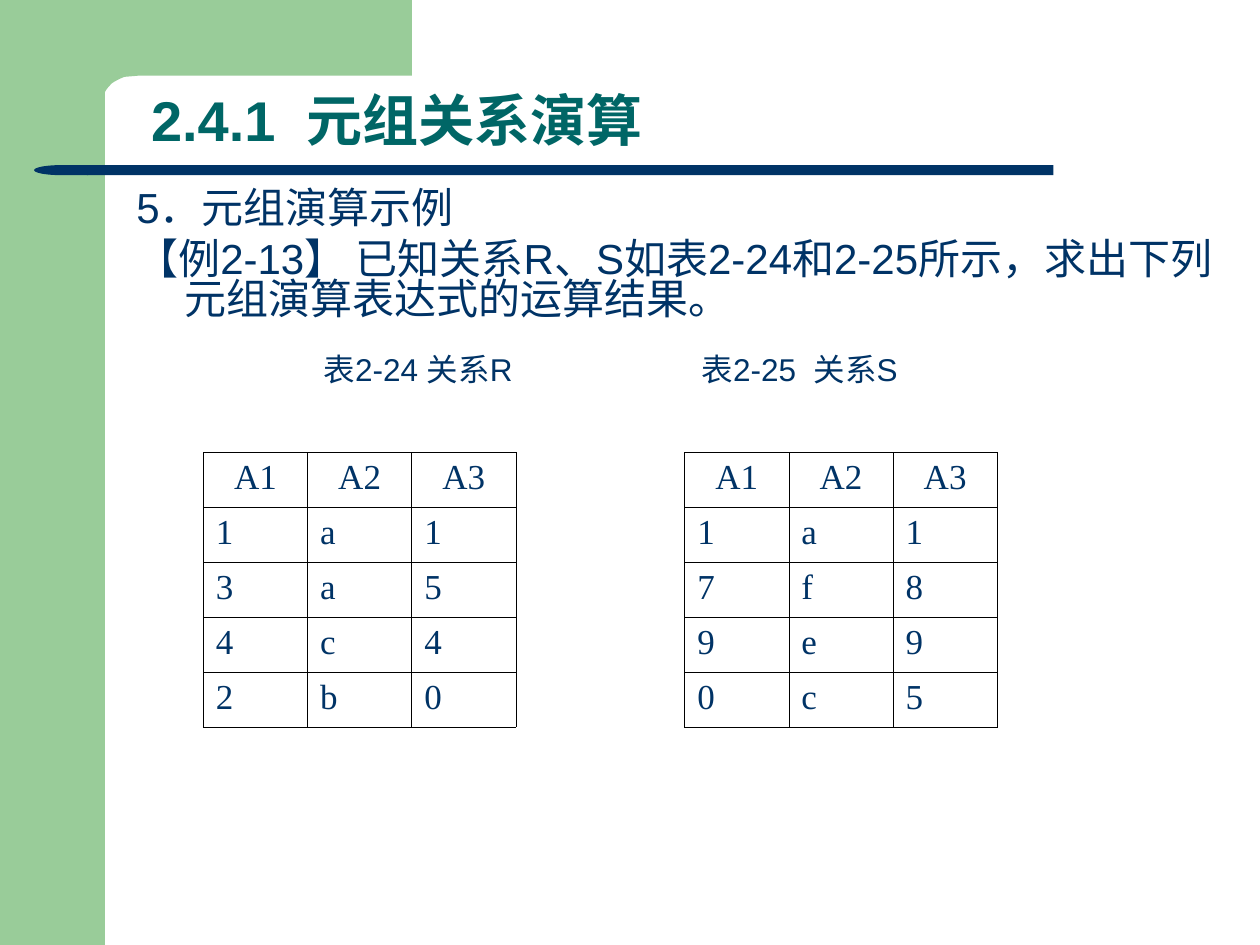
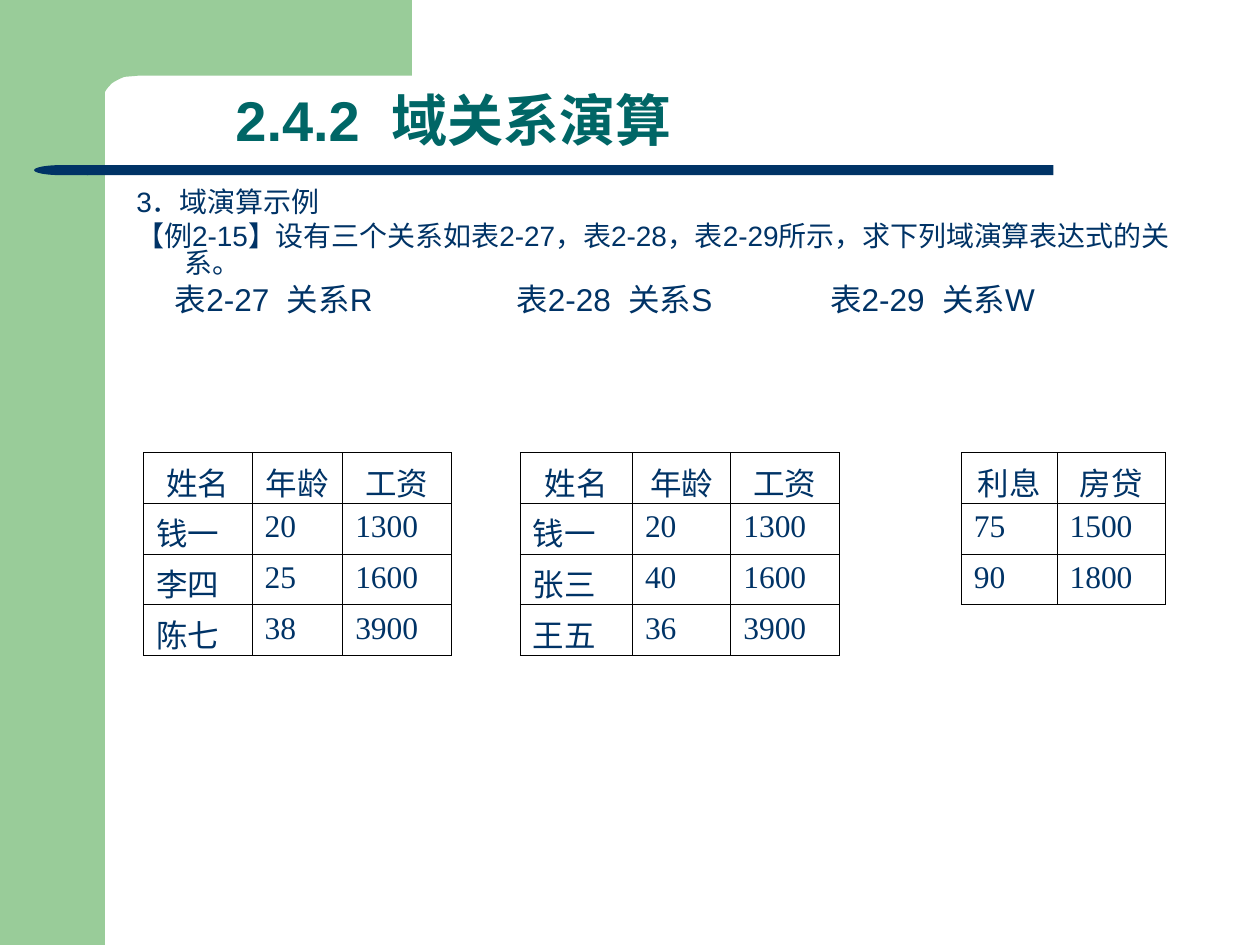
from lxml import etree
from pptx import Presentation
from pptx.dml.color import RGBColor
from pptx.enum.shapes import MSO_SHAPE
from pptx.enum.text import MSO_ANCHOR, PP_ALIGN
from pptx.oxml.ns import qn
from pptx.util import Inches, Pt

RECT, DELAY = MSO_SHAPE.RECTANGLE, MSO_SHAPE.FLOWCHART_DELAY
TOP, LOW = MSO_ANCHOR.TOP, MSO_ANCHOR.BOTTOM
LEFT, MID = PP_ALIGN.LEFT, PP_ALIGN.CENTER

HUES = {"green": "99CC99", "navy": "003366", "teal": "006666",
        "edge": "000000"}
SANS, SERIF = "Arial", "Times New Roman"
COLS = 100  # square grid units across the slide
EDGE = 0.45
TABLE_TOP = 35.9


def curve(start, one, two, end, steps=6):
    """Points along a cubic Bezier curve, without its start."""
    spots = []
    for i in range(1, steps + 1):
        t = i / steps
        u = 1 - t
        spots.append(tuple(
            u**3 * a + 3 * u * u * t * b + 3 * u * t * t * c + t**3 * d
            for a, b, c, d in zip(start, one, two, end)))
    return spots


class Deck:
    def __init__(self):
        self.file = Presentation()
        self.file.slide_width = Inches(10)
        self.file.slide_height = Inches(7.5)
        self.page = None

    def unit(self, n):
        """Grid units to EMU."""
        return round(n * self.file.slide_width / COLS)

    def place(self, *box):
        return [self.unit(n) for n in box]

    def paint(self, shape, hue):
        shape.shadow.inherit = False
        shape.fill.solid()
        shape.fill.fore_color.rgb = RGBColor.from_string(HUES[hue])
        shape.line.fill.background()

    def block(self, kind, hue, *box):
        shape = self.page.shapes.add_shape(kind, *self.place(*box))
        self.paint(shape, hue)
        return shape

    def frame(self):
        """Green side band with a rounded inner corner, and the title rule."""
        self.block(RECT, "green", 0, 0, 8.33, 75)
        bend = (9.9, 6.1)
        turn = (8.9, 6.6)
        spots = [(32.7, 6), (11.1, 6), bend,
                 *curve(bend, (9.6, 6.2), (9.2, 6.4), turn),
                 *curve(turn, (8.7, 6.8), (8.4, 7.1), (8.3, 7.4)),
                 *curve((8.3, 7.4), (8.2, 7.7), (8.1, 8), (8.1, 8.3)),
                 (8.1, 9.1), (5, 9.1), (5, 0)]
        pen = self.page.shapes.build_freeform(self.unit(32.7), 0)
        pen.add_line_segments([self.place(*s) for s in spots], close=True)
        self.paint(pen.convert_to_shape(), "green")
        self.block(RECT, "navy", 6.9, 13.1, 76.7, 0.8)
        self.block(DELAY, "navy", 2.7, 13.1, 4.3, 0.8).rotation = 180

    def run(self, para, text, size, font=SANS, hue="navy", bold=False):
        run = para.add_run()
        run.text = text
        run.font.size = Pt(size)
        run.font.name = font
        run.font.bold = bold
        run.font.color.rgb = RGBColor.from_string(HUES[hue])

    def text(self, *box, anchor=TOP):
        frame = self.page.shapes.add_textbox(*self.place(*box)).text_frame
        frame.word_wrap = True
        frame.vertical_anchor = anchor
        return frame

    def start(self, title, left):
        self.page = self.file.slides.add_slide(self.file.slide_layouts[6])
        self.frame()
        para = self.text(left, 7.2, 81.9, 5.5, anchor=LOW).paragraphs[0]
        para.line_spacing = 0.9
        self.run(para, title, 32, hue="teal", bold=True)

    def body(self, lines, size, wide, high):
        frame = self.text(9.83, 14.7, wide, high)
        hang = self.unit(3.8)
        for i, line in enumerate(lines):
            para = frame.add_paragraph() if i else frame.paragraphs[0]
            para.line_spacing = 0.8
            if i:
                para.space_before = Pt(size / 4)
            props = para._p.get_or_add_pPr()
            props.set("marL", str(hang))
            props.set("indent", str(-hang))
            self.run(para, line, size)

    def names(self, labels, stops, left, top, wide):
        """Table captions on one line, set apart by tab stops."""
        para = self.text(left, top, wide, 4).paragraphs[0]
        tabs = etree.SubElement(para._p.get_or_add_pPr(), qn("a:tabLst"))
        for stop in stops:
            etree.SubElement(tabs, qn("a:tab"), pos=str(self.unit(stop)),
                             algn="l")
        self.run(para, "\t".join(labels), 18)

    def border(self, cell, sides):
        props = cell._tc.get_or_add_tcPr()
        for i, side in enumerate("LRTB"):
            line = etree.Element(qn("a:ln" + side), w=str(Pt(EDGE)))
            if side in sides:
                fill = etree.SubElement(line, qn("a:solidFill"))
                etree.SubElement(fill, qn("a:srgbClr"), val=HUES["edge"])
            else:
                etree.SubElement(line, qn("a:noFill"))
            props.insert(i, line)

    def table(self, rows, widths, left, high, size, head):
        """Draw one table; None marks an unused cell."""
        shape = self.page.shapes.add_table(
            len(rows), len(widths),
            *self.place(left, TABLE_TOP, sum(widths), high * len(rows)))
        grid = shape.table
        grid.first_row = grid.horz_banding = False
        for col, wide in zip(grid.columns, widths):
            col.width = self.unit(wide)

        def used(r, c):
            inside = 0 <= r < len(rows) and 0 <= c < len(widths)
            return inside and rows[r][c] is not None

        for r, row in enumerate(rows):
            grid.rows[r].height = self.unit(high)
            for c, text in enumerate(row):
                cell = grid.cell(r, c)
                cell.fill.background()
                near = {"L": (r, c - 1), "R": (r, c + 1),
                        "T": (r - 1, c), "B": (r + 1, c)}
                self.border(cell, [side for side, spot in near.items()
                                   if used(r, c) or used(*spot)])
                if text is None:
                    continue
                para = cell.text_frame.paragraphs[0]
                para.alignment = LEFT if r else MID
                self.run(para, text, size, SERIF if r else head)


def main():
    deck = Deck()

    deck.start("2.4.1  元组关系演算", 11)
    deck.body(["5．元组演算示例",
               "【例2-13】 已知关系R、S如表2-24和2-25所示，"
               "求出下列元组演算表达式的运算结果。"], 24, 88.2, 12.6)
    deck.names(["表2-24 关系R", "表2-25  关系S"], [30], 24.7, 27.25, 56)
    pairs = [("A1 A2 A3", "A1 A2 A3"), ("1 a 1", "1 a 1"),
             ("3 a 5", "7 f 8"), ("4 c 4", "9 e 9"), ("2 b 0", "0 c 5")]
    trio = [8.27] * 3
    deck.table([[*r.split(), None, *s.split()] for r, s in pairs],
               [*trio, 13.4, *trio], 16.14, 4.36, 20, SERIF)

    deck.start("2.4.2  域关系演算", 17.7)
    deck.body(["3．域演算示例",
               "【例2-15】设有三个关系如表2-27，表2-28，表2-29所示，"
               "求下列域演算表达式的关系。"], 16, 84.1, 8.7)
    deck.names(["表2-27  关系R", "表2-28  关系S", "表2-29  关系W"],
               [27.1, 52], 12.9, 21.75, 78)
    pay = [("姓名 年龄 工资", "姓名 年龄 工资", "利息 房贷"),
           ("钱一 20 1300", "钱一 20 1300", "75 1500"),
           ("李四 25 1600", "张三 40 1600", "90 1800"),
           ("陈七 38 3900", "王五 36 3900", "")]
    deck.table([[*r.split(), None, *s.split(), None,
                 *(w.split() or [None, None])] for r, s, w in pay],
               [8.6, 7.2, 8.6, 5.5, 8.9, 7.8, 8.6, 9.7, 7.6, 8.6],
               11.4, 4.03, 18, SANS)

    deck.file.save("out.pptx")


if __name__ == "__main__":
    main()
